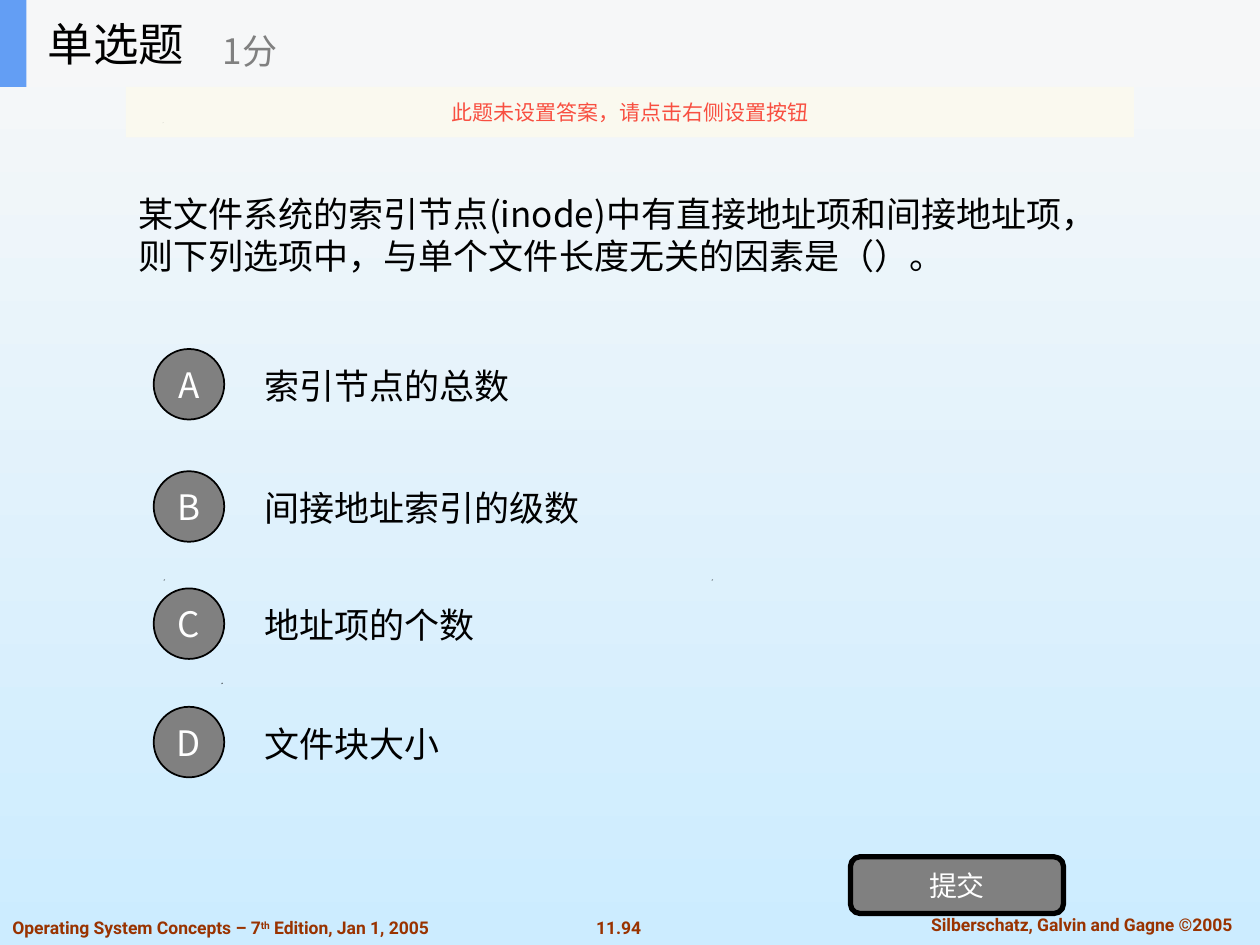
import pptx
import pptx.dml.color
import pptx.enum.shapes
import pptx.enum.text
import pptx.oxml.ns
import pptx.util
from lxml import etree

Inches = pptx.util.Inches
Pt = pptx.util.Pt
SHAPE = pptx.enum.shapes.MSO_SHAPE
ALIGN = pptx.enum.text.PP_ALIGN
CHINESE_FONT = "Noto Sans CJK SC"
QUESTION = "某文件系统的索引节点(inode)中有直接地址项和间接地址项，则下列选项中，与单个文件长度无关的因素是（）。"
OPTIONS = [
    ("A", "索引节点的总数", 2.77),
    ("B", "间接地址索引的级数", 3.74),
    ("C", "地址项的个数", 4.67),
    ("D", "文件块大小", 5.61),
]
SPECKS = [(1.76, 5.42), (1.3, 4.6), (5.65, 4.6), (1.29, 0.97)]


def color(value):
    """Return the colour for a hex string."""
    return pptx.dml.color.RGBColor.from_string(value)


def place(shape, left, top, width, height):
    """Set the position and size of a shape in inches."""
    shape.left, shape.top = Inches(left), Inches(top)
    shape.width, shape.height = Inches(width), Inches(height)


def write(shape, runs, size, fill, align=ALIGN.LEFT, font=CHINESE_FONT, bold=False):
    """Write one formatted paragraph, vertically centred, and return it."""
    frame = shape.text_frame
    frame.word_wrap = True
    frame.auto_size = pptx.enum.text.MSO_AUTO_SIZE.NONE
    frame.vertical_anchor = pptx.enum.text.MSO_ANCHOR.MIDDLE
    frame.margin_left = frame.margin_right = Inches(0.1 if align == ALIGN.LEFT else 0)
    paragraph = frame.paragraphs[0]
    paragraph.alignment = align
    for text in runs:
        paragraph.add_run().text = text
    paragraph.font.size = Pt(size)
    paragraph.font.bold = bold
    paragraph.font.color.rgb = color(fill)
    paragraph.font.name = font
    properties = paragraph._p.find(".//" + pptx.oxml.ns.qn("a:defRPr"))
    etree.SubElement(properties, pptx.oxml.ns.qn("a:ea"), typeface=font)
    return paragraph


def add_text(slide, box, runs, size, fill="000000", **style):
    """Add a text box and return its paragraph."""
    shape = slide.shapes.add_textbox(*map(Inches, box))
    return write(shape, runs, size, fill, **style)


def paint(shape, fill, line=None, line_width=1):
    """Give a shape a flat fill, an optional outline and no shadow."""
    shape.shadow.inherit = False
    shape.fill.solid()
    shape.fill.fore_color.rgb = color(fill)
    if line:
        shape.line.color.rgb = color(line)
        shape.line.width = Pt(line_width)
    else:
        shape.line.fill.background()


def add_shape(slide, kind, box, fill, line=None, line_width=1):
    """Add a painted preset shape."""
    shape = slide.shapes.add_shape(kind, *map(Inches, box))
    paint(shape, fill, line, line_width)
    return shape


def add_speck(slide, left, top):
    """Add a tiny black triangle."""
    builder = slide.shapes.build_freeform(Inches(left), Inches(top + 0.01))
    builder.add_line_segments([(Inches(left + 0.01), Inches(top)), (Inches(left), Inches(top))])
    paint(builder.convert_to_shape(), "000000")


def set_background(slide):
    """Fill the background with a vertical gradient."""
    fill = slide.background.fill
    fill.gradient()
    fill.gradient_angle = 270
    for stop, position, value in zip(fill.gradient_stops, (0, 1), ("F8F8F8", "CCECFF")):
        stop.position = position
        stop.color.rgb = color(value)


def add_footer(slide):
    """Add the book, page number and author lines."""
    style = {"size": 10, "fill": "993300", "font": "Roboto", "bold": True}
    add_text(slide, (4.63, 7.23, 0.56, 0.27), ["11.94"], align=ALIGN.CENTER, **style)
    add_text(slide, (7.1, 7.2, 2.97, 0.27), ["Silberschatz, Galvin and Gagne ©2005"],
             align=ALIGN.CENTER, **style)
    book = add_text(slide, (0, 7.23, 3.69, 0.27),
                    ["Operating System Concepts – 7", "th", " Edition, Jan 1, 2005"], **style)
    book.runs[1]._r.get_or_add_rPr().set("baseline", "30000")


def add_option(slide, letter, text, top):
    """Add a lettered circle and its answer."""
    circle = add_shape(slide, SHAPE.OVAL, (1.22, top, 0.56, 0.56), "808080", "000000")
    write(circle, [letter], 20, "FFFFFF", ALIGN.CENTER)
    add_text(slide, (2, top - 0.06, 7, 0.7), [text], 20)


def add_header(slide):
    """Add the title band with the score and the warning strip."""
    add_shape(slide, SHAPE.RECTANGLE, (0, 0, 10, 0.69), "F6F7F8")
    add_shape(slide, SHAPE.RECTANGLE, (0, 0, 0.21, 0.69), "639EF4")
    title = slide.shapes.title
    place(title, 0.28, 0, 2.08, 0.69)
    write(title, ["单选题"], 26, "000000")
    title.element.getparent().append(title.element)
    add_text(slide, (1.67, 0.12, 2.5, 0.56), ["1分"], 20, "808080")
    strip = add_shape(slide, SHAPE.RECTANGLE, (1, 0.69, 8, 0.4), "FBFAEF")
    strip_color = strip.element.spPr.find(".//" + pptx.oxml.ns.qn("a:srgbClr"))
    etree.SubElement(strip_color, pptx.oxml.ns.qn("a:alpha"), val="90000")
    write(strip, ["此题未设置答案，请点击右侧设置按钮"], 12, "F84F41", ALIGN.CENTER)


def main():
    """Build and save the quiz slide."""
    presentation = pptx.Presentation()
    presentation.slide_width, presentation.slide_height = Inches(10), Inches(7.5)
    slide = presentation.slides.add_slide(presentation.slide_layouts[5])
    set_background(slide)
    for left, top in SPECKS:
        add_speck(slide, left, top)
    add_footer(slide)
    question = add_text(slide, (1, 0.69, 8, 2.34), [QUESTION], 20)
    question.line_spacing = Pt(24)
    for letter, text, top in OPTIONS:
        add_option(slide, letter, text, top)
    button = add_shape(slide, SHAPE.ROUNDED_RECTANGLE, (6.75, 6.8, 1.69, 0.45),
                       "808080", "000000", 3)
    write(button, ["提交"], 16, "FFFFFF", ALIGN.CENTER)
    add_header(slide)
    presentation.save("out.pptx")


if __name__ == "__main__":
    main()
